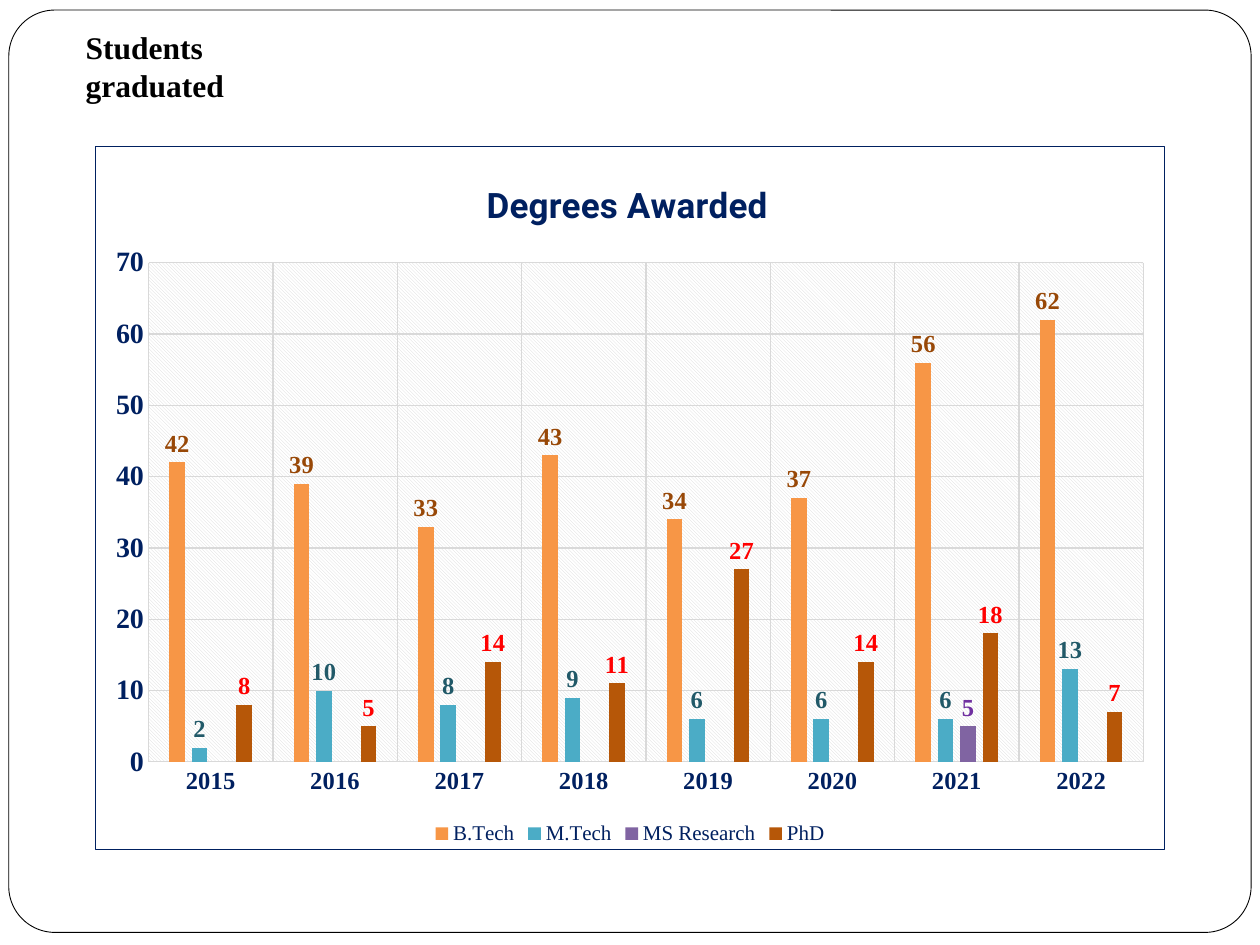
from lxml import etree
from pptx import Presentation
from pptx.chart.data import CategoryChartData
from pptx.dml.color import RGBColor
from pptx.enum.chart import XL_CHART_TYPE, XL_LABEL_POSITION, XL_LEGEND_POSITION, XL_TICK_MARK
from pptx.enum.shapes import MSO_SHAPE
from pptx.enum.text import MSO_ANCHOR, MSO_AUTO_SIZE, PP_ALIGN
from pptx.oxml import parse_xml
from pptx.oxml.ns import nsdecls, qn
from pptx.util import Inches, Pt

COLORS = {
    "black": "000000",
    "white": "FFFFFF",
    "navy": "002060",
    "grid": "D9D9D9",
}
FONT = "Times New Roman"

# name, values, bar color, label color
SERIES = [
    ("B.Tech", [42, 39, 33, 43, 34, 37, 56, 62], "F79646", "984807"),
    ("M.Tech", [2, 10, 8, 9, 6, 6, 6, 13], "4BACC6", "215968"),
    ("MS Research", [None] * 6 + [5, None], "8064A2", "7030A0"),
    ("PhD", [8, 5, 14, 11, 27, 14, 18, 7], "B65708", "FF0000"),
]


def style_font(font, size, color, bold=True, name=FONT):
    font.name = name
    font.size = Pt(size)
    font.bold = bold
    font.color.rgb = RGBColor.from_string(color)


def manual_layout(**settings):
    """Return a c:layout element; positions are fractions of the chart."""
    layout = etree.Element(qn("c:layout"))
    manual = etree.SubElement(layout, qn("c:manualLayout"))
    for tag, value in settings.items():
        etree.SubElement(manual, qn(f"c:{tag}")).set("val", str(value))
    return layout


presentation = Presentation()
presentation.slide_width = Inches(10)
presentation.slide_height = Inches(7.5)
slide = presentation.slides.add_slide(presentation.slide_layouts[5])

# Rounded page frame, behind the title
frame = slide.shapes.add_shape(
    MSO_SHAPE.ROUNDED_RECTANGLE, Inches(0.07), Inches(0.08), Inches(9.86), Inches(7.32)
)
frame.adjustments[0] = 0.05
frame.shadow.inherit = False
frame.fill.solid()
frame.fill.fore_color.rgb = RGBColor.from_string(COLORS["white"])
frame.line.color.rgb = RGBColor.from_string(COLORS["black"])
frame.line.width = Pt(0.5)

title = slide.shapes.title
title.left, title.top = Inches(0.58), Inches(0.32)
title.width, title.height = Inches(2.29), Inches(0.4)
title.text_frame.text = "Students graduated"
title.text_frame.word_wrap = False
title.text_frame.auto_size = MSO_AUTO_SIZE.NONE
title.text_frame.vertical_anchor = MSO_ANCHOR.MIDDLE
title_paragraph = title.text_frame.paragraphs[0]
title_paragraph.alignment = PP_ALIGN.LEFT
style_font(title_paragraph.font, 18, COLORS["black"])
slide.shapes._spTree.append(title._element)

# Chart of degrees by year
chart_data = CategoryChartData()
chart_data.categories = [str(year) for year in range(2015, 2023)]
for name, values, _, _ in SERIES:
    chart_data.add_series(name, values)
chart = slide.shapes.add_chart(
    XL_CHART_TYPE.COLUMN_CLUSTERED,
    Inches(0.75), Inches(1.16), Inches(8.5), Inches(5.59), chart_data,
).chart
style_font(chart.font, 10, COLORS["black"], bold=False)

chart.has_title = True
chart.chart_title.text_frame.text = "Degrees Awarded"
style_font(chart.chart_title.text_frame.paragraphs[0].font, 20, COLORS["navy"], name="Roboto")

chart.has_legend = True
chart.legend.position = XL_LEGEND_POSITION.BOTTOM
chart.legend.include_in_layout = False
style_font(chart.legend.font, 12, COLORS["navy"], bold=False)

for axis, size in ((chart.category_axis, 14), (chart.value_axis, 16)):
    axis.major_tick_mark = XL_TICK_MARK.NONE
    axis.minor_tick_mark = XL_TICK_MARK.NONE
    axis.has_major_gridlines = True
    style_font(axis.tick_labels.font, size, COLORS["navy"])
    for line in (axis.format.line, axis.major_gridlines.format.line):
        line.color.rgb = RGBColor.from_string(COLORS["grid"])
        line.width = Pt(0.75)
chart.value_axis.format.line.fill.background()
chart.value_axis.minimum_scale = 0
chart.value_axis.maximum_scale = 70
chart.value_axis.major_unit = 10

plot = chart.plots[0]
plot.gap_width = 267
plot.overlap = -43
plot.vary_by_categories = False
for series, (_, _, bar_color, label_color) in zip(plot.series, SERIES):
    series.format.fill.solid()
    series.format.fill.fore_color.rgb = RGBColor.from_string(bar_color)
    labels = series.data_labels
    labels.show_value = True
    labels.position = XL_LABEL_POSITION.OUTSIDE_END
    style_font(labels.font, 14, label_color)

# Placement of the title and plot area, hatched plot fill and chart border
chart_element = chart._chartSpace.find(qn("c:chart"))
plot_area = chart_element.find(qn("c:plotArea"))
title_element = chart_element.find(qn("c:title"))
for parent in (plot_area, title_element):
    for old_layout in parent.findall(qn("c:layout")):
        parent.remove(old_layout)
plot_area.insert(0, manual_layout(
    layoutTarget="inner", xMode="edge", yMode="edge", x=0.05, y=0.165, w=0.93, h=0.71
))
title_element.find(qn("c:tx")).addnext(
    manual_layout(xMode="edge", yMode="edge", x=0.36, y=0.04)
)
plot_area.append(parse_xml(
    f'<c:spPr {nsdecls("c", "a")}><a:pattFill prst="ltDnDiag">'
    f'<a:fgClr><a:srgbClr val="{COLORS["grid"]}"/></a:fgClr>'
    f'<a:bgClr><a:srgbClr val="{COLORS["white"]}"/></a:bgClr>'
    "</a:pattFill><a:ln><a:noFill/></a:ln></c:spPr>"
))
chart_element.addnext(parse_xml(
    f'<c:spPr {nsdecls("c", "a")}>'
    f'<a:solidFill><a:srgbClr val="{COLORS["white"]}"/></a:solidFill>'
    f'<a:ln w="{Pt(0.75)}"><a:solidFill><a:srgbClr val="{COLORS["navy"]}"/></a:solidFill></a:ln>'
    "</c:spPr>"
))

presentation.save("out.pptx")
